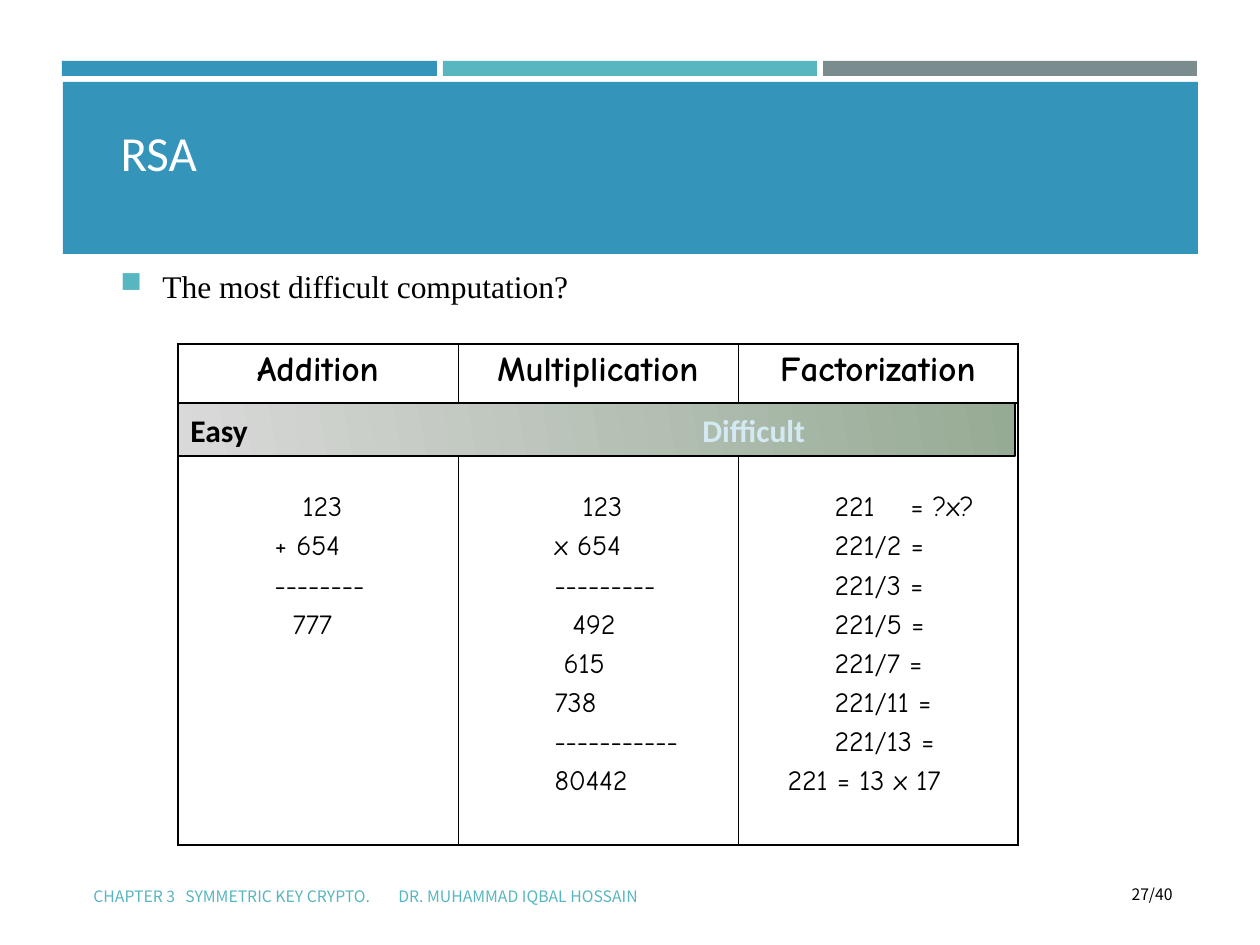
"""Build the RSA slide comparing the difficulty of three computations."""
from dataclasses import dataclass

from lxml import etree
from pptx import Presentation
from pptx.dml.color import RGBColor
from pptx.enum.shapes import MSO_CONNECTOR, MSO_SHAPE
from pptx.enum.text import MSO_ANCHOR, PP_ALIGN
from pptx.oxml.ns import qn
from pptx.util import Emu, Pt

RECTANGLE = MSO_SHAPE.RECTANGLE
STRAIGHT = MSO_CONNECTOR.STRAIGHT
MIDDLE, BOTTOM = MSO_ANCHOR.MIDDLE, MSO_ANCHOR.BOTTOM
LEFT, CENTER, RIGHT = PP_ALIGN.LEFT, PP_ALIGN.CENTER, PP_ALIGN.RIGHT

EMU_PER_PX = 914400 / 126
TITLE_ONLY = 5
COLORS = {
    "blue": "3494BA", "teal": "58B6C0", "gray": "7A8C8E", "black": "000000",
    "white": "FFFFFF", "easy": "D9D9D9", "hard": "96AB94", "pale": "D4EAF3",
}
OUTER_LINE, INNER_LINE = 1.08, 0.45
TABLE_LEFT, TABLE_TOP, COLUMN_WIDTH, TABLE_HEIGHT = 178, 344, 280, 501
BAR_TOP = 403
WORK_INDENT = 84


@dataclass(frozen=True)
class Box:
    left: int
    top: int
    width: int
    height: int


@dataclass(frozen=True)
class Band:
    box: Box
    color: str


@dataclass(frozen=True)
class Step:
    text: str
    indent: int = WORK_INDENT
    tabs: tuple = ()


@dataclass(frozen=True)
class Computation:
    heading: str
    steps: tuple


@dataclass(frozen=True)
class Label:
    box: Box
    text: str
    font: str
    size: int
    color: str
    align: PP_ALIGN = LEFT
    tabs: tuple = ()


BANDS = (
    Band(Box(62, 61, 375, 15), "blue"),
    Band(Box(443, 61, 374, 15), "teal"),
    Band(Box(823, 61, 374, 15), "gray"),
    Band(Box(63, 82, 1135, 172), "blue"),
)
BULLET = Label(Box(108, 237, 1085, 97), "The most difficult computation?",
               "Times New Roman", 18, "black")
FOOTERS = (
    Label(Box(81, 871, 672, 50),
          "CHAPTER 3\tSYMMETRIC KEY CRYPTO.\tDR. MUHAMMAD IQBAL HOSSAIN",
          "Noto Sans CJK KR", 9, "teal", tabs=(92, 305)),
    Label(Box(1079, 869, 106, 50), "27/40", "Noto Sans CJK KR", 9, "black", RIGHT),
)
COMPUTATIONS = (
    Computation("Addition", (
        Step("123", 112), Step("+ 654"), Step("--------"), Step("777", 102))),
    Computation("Multiplication", (
        Step("123", 112), Step("x 654"), Step("---------"), Step("492", 102),
        Step("615", 93), Step("738"), Step("-----------"), Step("80442"))),
    Computation("Factorization", (
        Step("\t221\t= ?x?", 0, (WORK_INDENT, 160)),
        *(Step(f"221/{divisor} =") for divisor in (2, 3, 5, 7, 11, 13)),
        Step("221 = 13 x 17", 37))),
)


def px(value: float) -> Emu:
    """Convert pixels to EMU."""
    return Emu(round(value * EMU_PER_PX))


def rgb(name: str) -> RGBColor:
    """Look up a named colour."""
    return RGBColor.from_string(COLORS[name])


def place(box: Box) -> tuple:
    """Return a box as EMU lengths."""
    return px(box.left), px(box.top), px(box.width), px(box.height)


def format_run(run, font: str, size: int, color: str, bold: bool = False) -> None:
    """Set the character format of a run."""
    run.font.name, run.font.size, run.font.bold = font, Pt(size), bold
    run.font.color.rgb = rgb(color)


def add_tabs(paragraph, positions: tuple) -> None:
    """Give a paragraph left tab stops."""
    if positions:
        tab_list = etree.SubElement(paragraph._p.get_or_add_pPr(), qn("a:tabLst"))
        for position in positions:
            etree.SubElement(tab_list, qn("a:tab"), pos=str(px(position)), algn="l")


def add_square_bullet(paragraph, indent: int) -> None:
    """Give a paragraph a hanging square bullet."""
    properties = paragraph._p.get_or_add_pPr()
    properties.set("marL", str(px(indent)))
    properties.set("indent", str(-px(indent)))
    color = etree.SubElement(properties, qn("a:buClr"))
    etree.SubElement(color, qn("a:srgbClr"), val=COLORS["teal"])
    etree.SubElement(properties, qn("a:buSzPct"), val="92000")
    etree.SubElement(properties, qn("a:buChar"), char="■")


def add_band(slide, band: Band) -> None:
    """Draw a plain filled rectangle."""
    shape = slide.shapes.add_shape(RECTANGLE, *place(band.box))
    shape.shadow.inherit = False
    shape.fill.solid()
    shape.fill.fore_color.rgb = rgb(band.color)
    shape.line.fill.background()


def add_title(slide) -> None:
    """Fill the title placeholder and bring it in front of the bands."""
    title = slide.shapes.title
    title.left, title.top, title.width, title.height = place(Box(108, 16, 984, 172))
    title.element.getparent().append(title.element)
    title.text_frame.text = "RSA"
    title.text_frame.vertical_anchor = BOTTOM
    paragraph = title.text_frame.paragraphs[0]
    paragraph.alignment = LEFT
    format_run(paragraph.runs[0], "Calibri", 28, "white")


def add_label(slide, label: Label):
    """Draw a one-line text box and return its paragraph."""
    text_frame = slide.shapes.add_textbox(*place(label.box)).text_frame
    text_frame.word_wrap = True
    text_frame.vertical_anchor = MIDDLE
    text_frame.text = label.text
    paragraph = text_frame.paragraphs[0]
    paragraph.alignment = label.align
    add_tabs(paragraph, label.tabs)
    format_run(paragraph.runs[0], label.font, label.size, label.color)
    return paragraph


def set_borders(cell, widths: dict) -> None:
    """Insert black borders ahead of the cell fill."""
    properties = cell._tc.get_or_add_tcPr()
    for index, (side, width) in enumerate(widths.items()):
        line = etree.Element(qn(f"a:ln{side}"), w=str(Pt(width)))
        fill = etree.SubElement(line, qn("a:solidFill"))
        etree.SubElement(fill, qn("a:srgbClr"), val=COLORS["black"])
        properties.insert(index, line)


def fill_cell(cell, computation: Computation) -> None:
    """Write a heading and its worked steps."""
    cell.fill.background()
    cell.text_frame.text = computation.heading
    heading = cell.text_frame.paragraphs[0]
    heading.alignment = CENTER
    format_run(heading.runs[0], "Comic Neue", 20, "black", True)
    for index, step in enumerate(computation.steps):
        paragraph = cell.text_frame.add_paragraph()
        paragraph.text = step.text
        paragraph.space_before = Pt(4) if index else px(101)
        paragraph._p.get_or_add_pPr().set("marL", str(px(step.indent)))
        add_tabs(paragraph, step.tabs)
        format_run(paragraph.runs[0], "Comic Neue", 16, "black")


def add_computations(slide) -> None:
    """Draw the table of computations."""
    count = len(COMPUTATIONS)
    box = Box(TABLE_LEFT, TABLE_TOP, COLUMN_WIDTH * count, TABLE_HEIGHT)
    table = slide.shapes.add_table(1, count, *place(box)).table
    table.first_row = table.horz_banding = False
    for column, computation in enumerate(COMPUTATIONS):
        cell = table.cell(0, column)
        fill_cell(cell, computation)
        set_borders(cell, {
            "L": INNER_LINE if column else OUTER_LINE,
            "R": INNER_LINE if column < count - 1 else OUTER_LINE,
            "T": OUTER_LINE, "B": OUTER_LINE})


def add_difficulty_bar(slide) -> None:
    """Draw the rule and gradient bar from easy to difficult."""
    right = TABLE_LEFT + COLUMN_WIDTH * len(COMPUTATIONS)
    rule = slide.shapes.add_connector(
        STRAIGHT, px(TABLE_LEFT), px(BAR_TOP), px(right), px(BAR_TOP))
    etree.SubElement(rule.element.spPr, qn("a:effectLst"))
    bar = slide.shapes.add_shape(RECTANGLE, *place(Box(TABLE_LEFT, BAR_TOP, 837, 53)))
    bar.shadow.inherit = False
    bar.fill.gradient()
    bar.fill.gradient_angle = 10
    for stop, color, position in zip(bar.fill.gradient_stops, ("easy", "hard"), (0, 1)):
        stop.color.rgb, stop.position = rgb(color), position
    for shape in (rule, bar):
        shape.line.color.rgb, shape.line.width = rgb("black"), Pt(1)
    bar.text_frame.vertical_anchor = MIDDLE
    paragraph = bar.text_frame.paragraphs[0]
    paragraph.alignment = LEFT
    add_tabs(paragraph, (512,))
    for text, color in (("Easy\t", "black"), ("Difficult", "pale")):
        run = paragraph.add_run()
        run.text = text
        format_run(run, "Calibri", 18, color, True)


def main() -> None:
    """Build and save the presentation."""
    presentation = Presentation()
    presentation.slide_width, presentation.slide_height = px(1260), px(945)
    slide = presentation.slides.add_slide(presentation.slide_layouts[TITLE_ONLY])
    for band in BANDS:
        add_band(slide, band)
    add_title(slide)
    add_square_bullet(add_label(slide, BULLET), 42)
    for footer in FOOTERS:
        add_label(slide, footer)
    add_computations(slide)
    add_difficulty_bar(slide)
    presentation.save("out.pptx")


if __name__ == "__main__":
    main()
